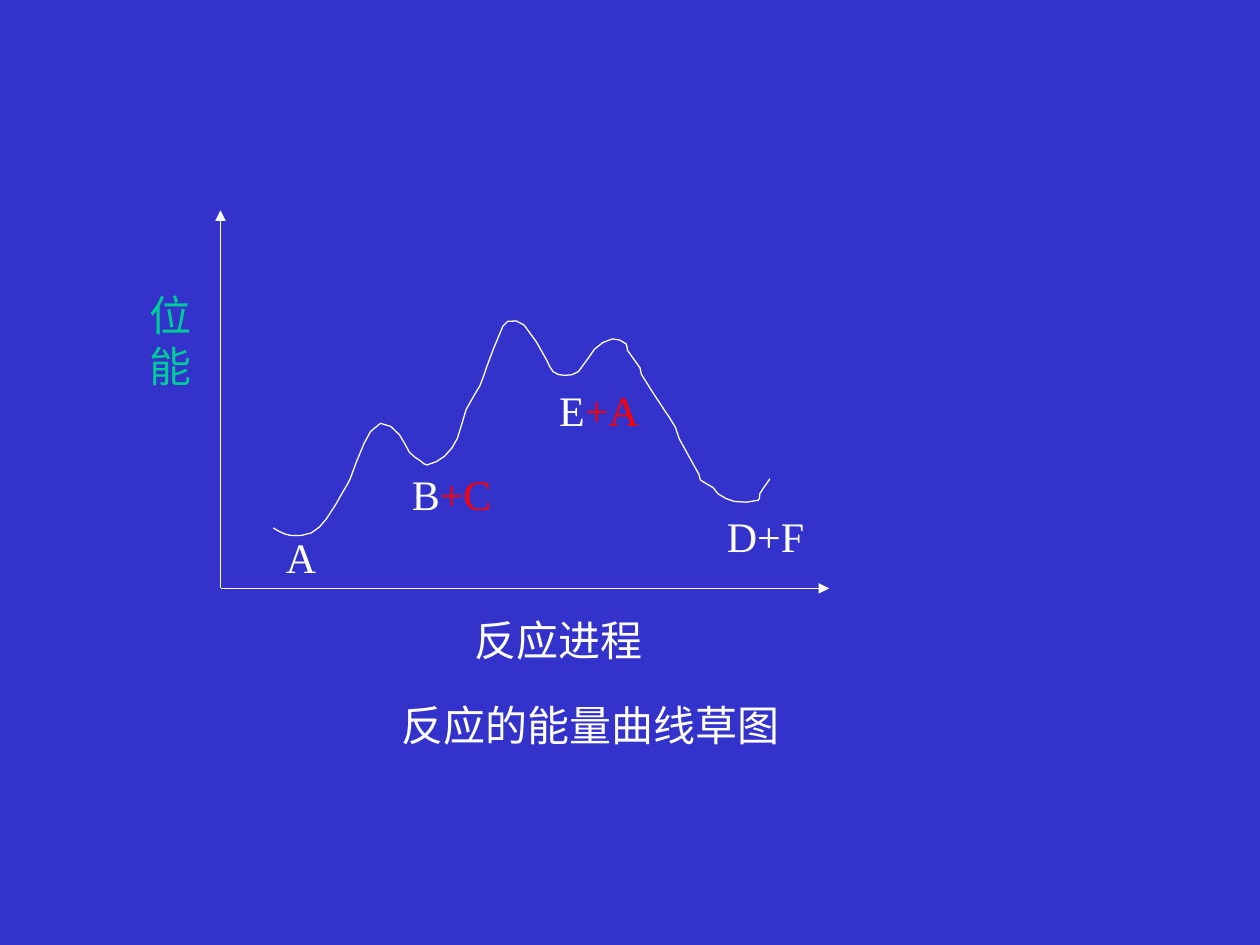
from lxml import etree
from pptx import Presentation
from pptx import util as u
from pptx.dml.color import RGBColor
from pptx.enum import shapes, text
from pptx.oxml import ns

THEME = {
    "font": "Times New Roman", "size": 24, "line": 0.75,
    "back": "3333CC", "white": "FFFFFF", "red": "FF0000", "green": "00CC99",
}

LABELS = [
    (3.67, 4.83, 1.53, 0.5, [[("反应进程", "white")]]),
    (1.09, 2.25, 0.53, 0.9, [[("位", "green")], [("能", "green")]]),
    (3.09, 5.5, 3.2, 0.5, [[("反应的能量曲线草图", "white")]]),
    (2.17, 4.17, 0.44, 0.5, [[("A", "white")]]),
    (3.17, 3.67, 0.83, 0.5, [[("B", "white"), ("+C", "red")]]),
    (4.34, 3, 0.83, 0.5, [[("E", "white"), ("+A", "red")]]),
    (5.67, 4, 0.83, 0.5, [[("D+F", "white")]]),
]

ORIGIN = (1.75, 4.67)
TIPS = [(1.75, 1.67), (6.58, 4.67)]

CURVE = [
    (2.17, 4.19), (2.22, 4.22), (2.31, 4.25), (2.47, 4.23), (2.59, 4.12),
    (2.73, 3.89), (2.78, 3.8), (2.89, 3.52), (3.02, 3.36), (3.17, 3.45),
    (3.25, 3.59), (3.34, 3.66), (3.39, 3.69), (3.53, 3.62), (3.63, 3.48),
    (3.7, 3.25), (3.81, 3.06), (3.86, 2.92), (3.97, 2.64), (4.03, 2.55),
    (4.16, 2.58), (4.34, 2.86), (4.39, 2.95), (4.48, 2.98), (4.59, 2.95),
    (4.72, 2.77), (4.86, 2.69), (4.97, 2.73), (4.98, 2.78), (5.08, 2.92),
    (5.09, 2.97), (5.27, 3.25), (5.36, 3.39), (5.39, 3.48), (5.55, 3.77),
    (5.56, 3.81), (5.66, 3.87), (5.7, 3.92), (5.83, 3.98), (6.02, 3.97),
    (6.03, 3.92), (6.09, 3.83), (6.11, 3.8),
]


def color(name):
    return RGBColor.from_string(THEME[name])


def smooth(points):
    dots = [complex(*p) for p in points]
    ends = [dots[0], *dots, dots[-1]]
    dirs = [(b - a) / abs(b - a) for a, b in zip(ends, ends[2:])]
    out = [dots[0]]
    for a, b, da, db in zip(dots, dots[1:], dirs, dirs[1:]):
        out += [(a + b) / 2 + (da - db) * abs(b - a) / 8, b]
    return [(u.Inches(z.real), u.Inches(z.imag)) for z in out]


def stroke(line):
    line.color.rgb = color("white")
    line.width = u.Pt(THEME["line"])


def add_label(slide, left, top, width, height, paras):
    box = slide.shapes.add_textbox(*map(u.Inches, (left, top, width, height)))
    frame = box.text_frame
    frame.word_wrap = False
    frame.auto_size = text.MSO_AUTO_SIZE.SHAPE_TO_FIT_TEXT
    for i, runs in enumerate(paras):
        para = frame.add_paragraph() if i else frame.paragraphs[0]
        for words, tint in runs:
            run = para.add_run()
            run.text = words
            run.font.name = THEME["font"]
            run.font.size = u.Pt(THEME["size"])
            run.font.color.rgb = color(tint)


def add_axis(slide, tip):
    axis = slide.shapes.add_connector(
        shapes.MSO_CONNECTOR.STRAIGHT, *map(u.Inches, ORIGIN + tip))
    stroke(axis.line)
    props = axis._element.spPr
    head = etree.SubElement(props.find(ns.qn("a:ln")), ns.qn("a:tailEnd"))
    head.set("type", "triangle")
    etree.SubElement(props, ns.qn("a:effectLst"))


def add_curve(slide):
    first, *rest = smooth(CURVE)
    pen = slide.shapes.build_freeform(*first)
    pen.add_line_segments(rest, close=False)
    curve = pen.convert_to_shape()
    curve.shadow.inherit = False
    curve.fill.background()
    stroke(curve.line)


def main():
    deck = Presentation()
    deck.slide_width, deck.slide_height = u.Inches(10), u.Inches(7.5)
    slide = deck.slides.add_slide(deck.slide_layouts[6])
    fill = slide.background.fill
    fill.solid()
    fill.fore_color.rgb = color("back")
    for tip in TIPS:
        add_axis(slide, tip)
    add_curve(slide)
    for label in LABELS:
        add_label(slide, *label)
    deck.save("out.pptx")


if __name__ == "__main__":
    main()
